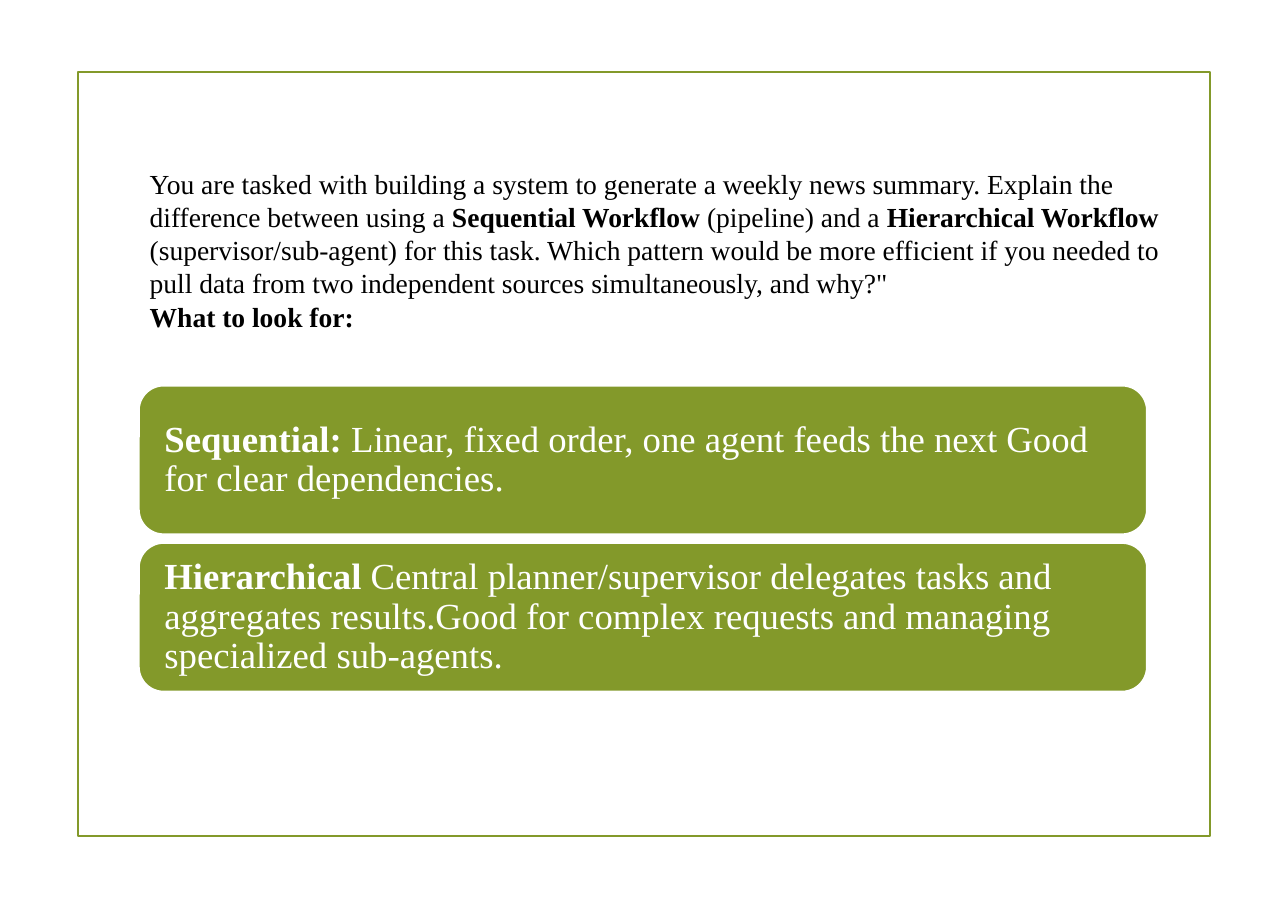
from pptx import Presentation
from pptx import util as u
from pptx.dml.color import RGBColor
from pptx.enum import shapes, text

COLOURS = {"olive": "83992A", "white": "FFFFFF", "black": "000000"}
FONT = "Times New Roman"


class SlideBuilder:
    """Holds the style and the current slide; lengths are in points."""

    def __init__(self, slide, font, colours):
        self.slide = slide
        self.font = font
        self.colours = {name: RGBColor.from_string(c) for name, c in colours.items()}

    def shape(self, kind, box, line, fill=None):
        item = self.slide.shapes.add_shape(kind, *map(u.Pt, box))
        item.shadow.inherit = False
        item.line.color.rgb = self.colours[line]
        item.line.width = u.Pt(1.25)
        if fill:
            item.fill.solid()
            item.fill.fore_color.rgb = self.colours[fill]
        else:
            item.fill.background()
        return item

    def add_runs(self, paragraph, runs, size, colour):
        """Runs are (wording, bold) pairs."""
        paragraph.alignment = text.PP_ALIGN.LEFT
        for wording, bold in runs:
            run = paragraph.add_run()
            run.text = wording
            run.font.name = self.font
            run.font.size = u.Pt(size)
            run.font.bold = bold
            run.font.color.rgb = self.colours[colour]

    def text_box(self, box, paragraphs, size):
        frame = self.slide.shapes.add_textbox(*map(u.Pt, box)).text_frame
        frame.word_wrap = True
        frame.auto_size = text.MSO_AUTO_SIZE.SHAPE_TO_FIT_TEXT
        for i, runs in enumerate(paragraphs):
            paragraph = frame.add_paragraph() if i else frame.paragraphs[0]
            self.add_runs(paragraph, runs, size, "black")

    def card(self, box, runs):
        frame = self.shape(shapes.MSO_SHAPE.ROUNDED_RECTANGLE, box, "white", "olive").text_frame
        frame.word_wrap = True
        frame.vertical_anchor = text.MSO_ANCHOR.MIDDLE
        frame.margin_left = frame.margin_right = u.Pt(12)
        frame.paragraphs[0].line_spacing = 0.9
        self.add_runs(frame.paragraphs[0], runs, 24, "white")


def main():
    deck = Presentation()
    deck.slide_width, deck.slide_height = u.Pt(841.68), u.Pt(594.72)
    builder = SlideBuilder(deck.slides.add_slide(deck.slide_layouts[6]), FONT, COLOURS)

    # Page frame
    builder.shape(shapes.MSO_SHAPE.RECTANGLE, (51, 47, 740, 499.5), "olive")

    # Question
    question = [
        ("You are tasked with building a system to generate a weekly news summary. "
         "Explain the difference between using a ", False),
        ("Sequential Workflow", True),
        (" (pipeline) and a ", False),
        ("Hierarchical Workflow", True),
        (" (supervisor/sub-agent) for this task. Which pattern would be more efficient "
         "if you needed to pull data from two independent sources simultaneously, "
         "and why?\"", False),
    ]
    look_for = [("What to look for:", True)]
    builder.text_box((90.7, 105.8, 678.3, 116.6), [question, look_for], 18)

    # Workflow cards
    workflows = [
        ("Sequential:", " Linear, fixed order, one agent feeds the next "
                        "Good for clear dependencies."),
        ("Hierarchical", " Central planner/supervisor delegates tasks and aggregates "
                         "results.Good for complex requests and managing "
                         "specialized sub-agents."),
    ]
    for i, (name, traits) in enumerate(workflows):
        builder.card((90.7, 252 + 102.8 * i, 658.8, 97.2), [(name, True), (traits, False)])

    deck.save("out.pptx")


if __name__ == "__main__":
    main()
